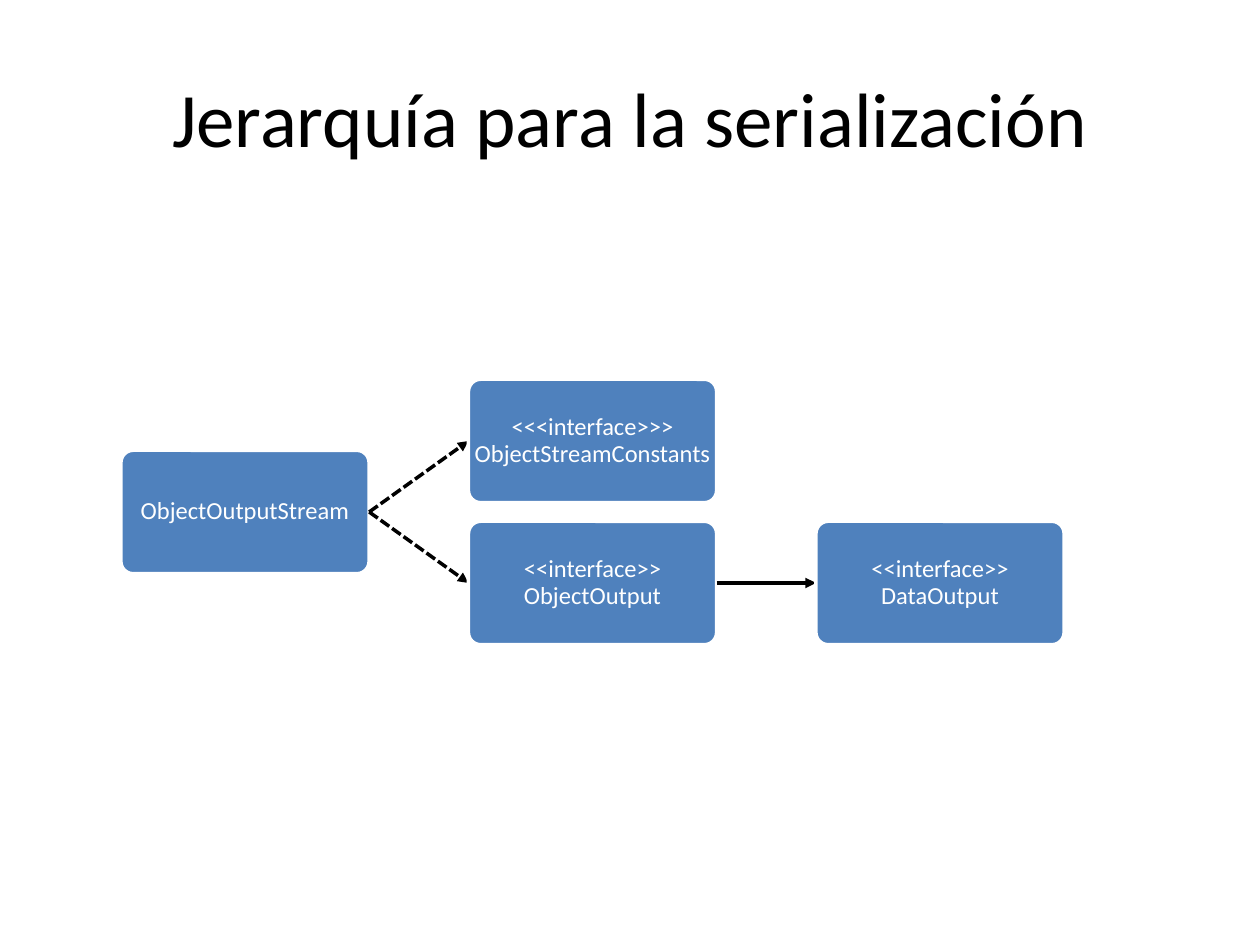
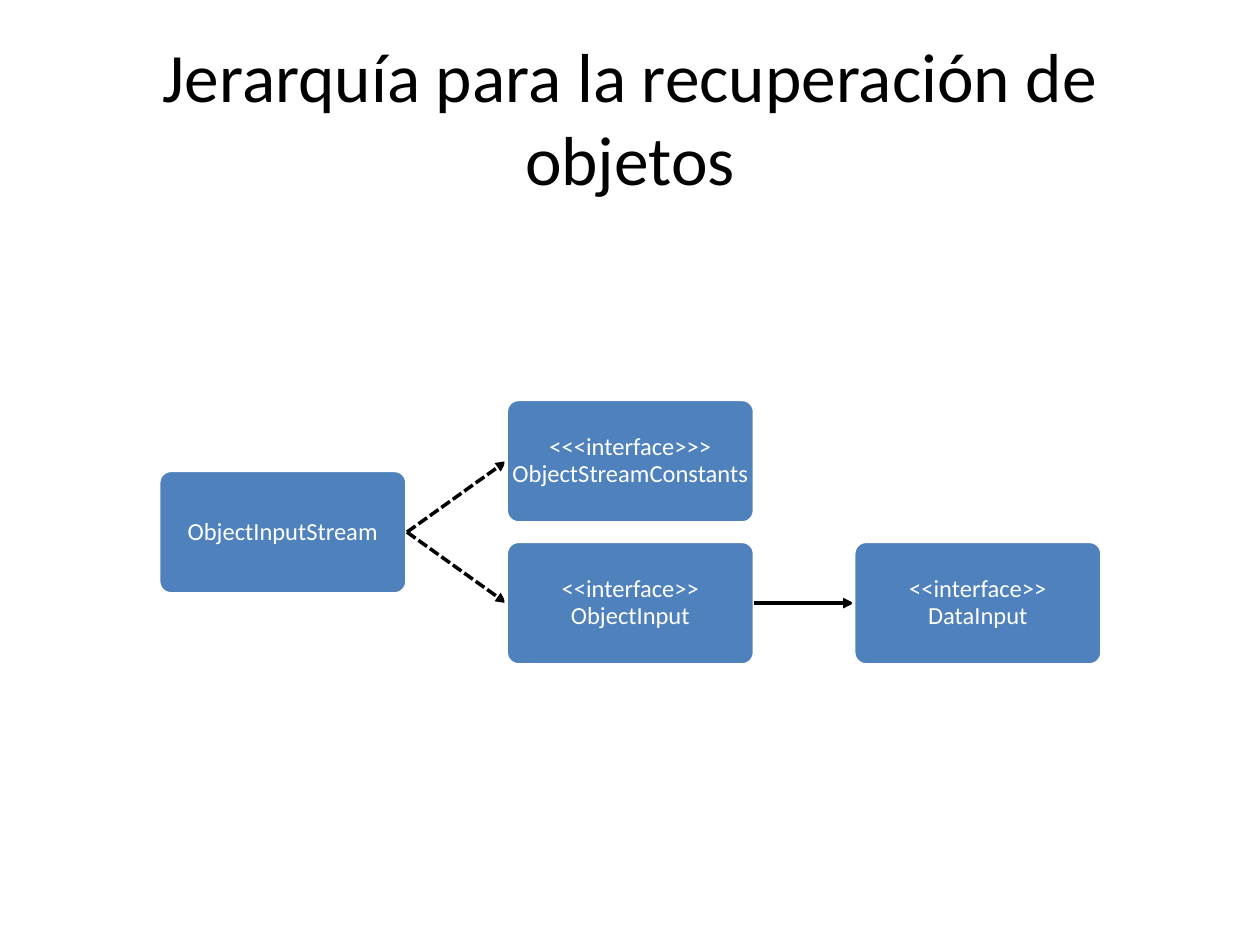
from lxml import etree
from pptx import Presentation
from pptx.dml.color import RGBColor
from pptx.enum.dml import MSO_LINE
from pptx.enum.shapes import MSO_CONNECTOR, MSO_SHAPE
from pptx.enum.text import MSO_ANCHOR, PP_ALIGN
from pptx.oxml.ns import qn
from pptx.util import Inches, Pt

ROUNDED = MSO_SHAPE.ROUNDED_RECTANGLE
STRAIGHT = MSO_CONNECTOR.STRAIGHT
DASHED = MSO_LINE.SQUARE_DOT
SOLID = MSO_LINE.SOLID
MIDDLE = MSO_ANCHOR.MIDDLE
CENTER = PP_ALIGN.CENTER
LEFT_SIDE, RIGHT_SIDE = 1, 3

COLORS = {"text": "000000", "node": "4F81BD", "node_text": "FFFFFF",
          "border": "FFFFFF", "arrow": "000000"}
FONT = "Calibri"
NODE_WIDTH, NODE_HEIGHT = 1.97, 0.98
COLUMN_STEP = 1.4 * NODE_WIDTH
ROW_STEP = 1.15 * NODE_HEIGHT
ARROWS = [(0, 1, DASHED), (0, 2, DASHED), (2, 3, SOLID)]

HIERARCHIES = [
    {"title": "Jerarquía para la serialización", "size": 44,
     "left": 0.96, "top": 3.01,
     "nodes": [("ObjectOutputStream", 0, 0.5),
               ("<<<interface>>> ObjectStreamConstants", 1, 0),
               ("<<interface>> ObjectOutput", 1, 1),
               ("<<interface>> DataOutput", 2, 1)]},
    {"title": "Jerarquía para la recuperación de objetos", "size": 39.6,
     "left": 1.26, "top": 3.17,
     "nodes": [("ObjectInputStream", 0, 0.5),
               ("<<<interface>>> ObjectStreamConstants", 1, 0),
               ("<<interface>> ObjectInput", 1, 1),
               ("<<interface>> DataInput", 2, 1)]},
]


def write(box, text, size, color):
    frame = box.text_frame
    frame.word_wrap = True
    frame.vertical_anchor = MIDDLE
    para = frame.paragraphs[0]
    para.alignment = CENTER
    span = para.add_run()
    span.text = text
    span.font.name = FONT
    span.font.size = Pt(size)
    span.font.color.rgb = RGBColor.from_string(COLORS[color])
    return frame


deck = Presentation()
deck.slide_width, deck.slide_height = Inches(10), Inches(7.5)
width, height = deck.slide_width, deck.slide_height
blank = deck.slide_layouts[6]

for hierarchy in HIERARCHIES:
    page = deck.slides.add_slide(blank)
    title = page.shapes.add_textbox(
        int(width * 0.05), int(height * 0.04), int(width * 0.9), Inches(1.25))
    write(title, hierarchy["title"], hierarchy["size"], "text")

    nodes = []
    for text, column, row in hierarchy["nodes"]:
        node = page.shapes.add_shape(
            ROUNDED,
            Inches(hierarchy["left"] + column * COLUMN_STEP),
            Inches(hierarchy["top"] + row * ROW_STEP),
            Inches(NODE_WIDTH), Inches(NODE_HEIGHT))
        node.adjustments[0] = 0.1
        node.shadow.inherit = False
        node.fill.solid()
        node.fill.fore_color.rgb = RGBColor.from_string(COLORS["node"])
        node.line.color.rgb = RGBColor.from_string(COLORS["border"])
        node.line.width = Pt(2)
        frame = write(node, text, 14, "node_text")
        frame.margin_left = frame.margin_right = Inches(0.01)
        frame.margin_top = frame.margin_bottom = Inches(0.01)
        frame.paragraphs[0].line_spacing = 0.9
        nodes.append(node)

    for source, target, dash in ARROWS:
        arrow = page.shapes.add_connector(STRAIGHT, 0, 0, 0, 0)
        arrow.begin_connect(nodes[source], RIGHT_SIDE)
        arrow.end_connect(nodes[target], LEFT_SIDE)
        arrow.line.color.rgb = RGBColor.from_string(COLORS["arrow"])
        arrow.line.width = Pt(2)
        arrow.line.dash_style = dash
        properties = arrow.element.find(qn("p:spPr"))
        etree.SubElement(properties.find(qn("a:ln")), qn("a:tailEnd"), type="triangle")
        etree.SubElement(properties, qn("a:effectLst"))
        nodes[target].element.addprevious(arrow.element)

deck.save("out.pptx")
